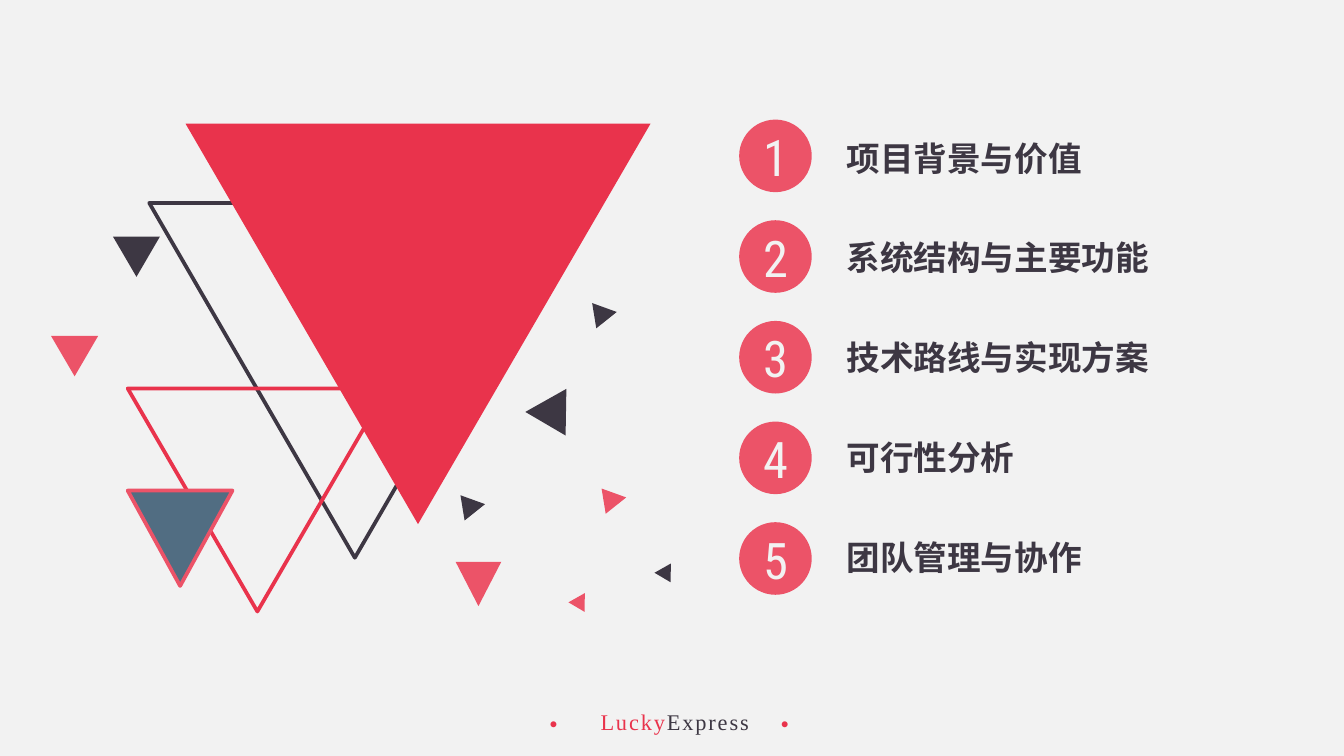
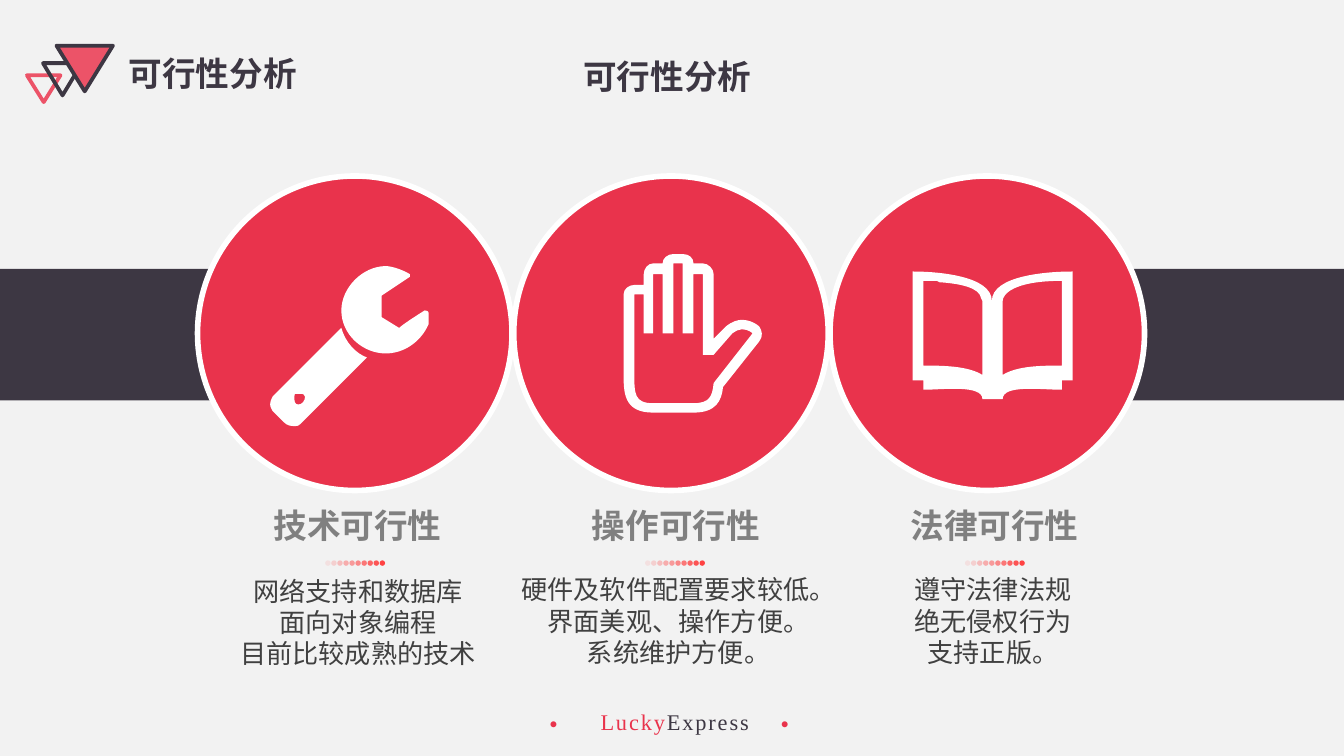
from dataclasses import dataclass
from typing import NamedTuple

from lxml import etree
from pptx import Presentation
from pptx import util as u
from pptx.dml.color import RGBColor
from pptx.enum import shapes, text
from pptx.oxml.ns import qn

SLIDE_WIDTH = u.Inches(10)
SLIDE_HEIGHT = u.Inches(5.625)
COLUMNS = 100
CELL = SLIDE_WIDTH / COLUMNS
ICON_UNIT = CELL / 10

COLORS = {
    "paper": "F2F2F2",
    "red": "E9334C",
    "rose": "EC5368",
    "dark": "3D3743",
    "steel": "516D82",
    "white": "FFFFFF",
    "dot": "FF4343",
    "heading": "808080",
    "body": "404040",
}
CJK = "Noto Sans CJK SC"
CENTER = text.PP_ALIGN.CENTER
LEFT = text.PP_ALIGN.LEFT
TRIANGLE = shapes.MSO_SHAPE.ISOSCELES_TRIANGLE
OVAL = shapes.MSO_SHAPE.OVAL
RECTANGLE = shapes.MSO_SHAPE.RECTANGLE


class Box(NamedTuple):
    column: float
    row: float
    columns: float
    rows: float

    def emu(self) -> list[int]:
        return [round(length * CELL) for length in self]


@dataclass(frozen=True)
class Style:
    size: float
    color: str
    font: str = CJK
    bold: bool = False
    align: text.PP_ALIGN = LEFT
    line_points: float | None = None
    spacing: int = 0


@dataclass(frozen=True)
class Triangle:
    box: Box
    fill: str | None = None
    line: str | None = None
    rotation: float = 180


@dataclass(frozen=True)
class Icon:
    column: float
    row: float
    contours: tuple[str, ...]


@dataclass(frozen=True)
class Feasibility:
    heading: str
    body: str
    body_box: Box
    icon: Icon


TITLE = Style(18, "dark", bold=True, line_points=22)
CENTERED_TITLE = Style(18, "dark", bold=True, align=CENTER, line_points=22)
HEADING = Style(18, "heading", bold=True, align=CENTER, line_points=22)
BODY = Style(14, "body", align=CENTER, line_points=16.8)
NUMBER = Style(27, "paper", font="Roboto Condensed", align=CENTER)
BULLET = Style(9, "red", font="Calibri")
BRAND_FIRST = Style(12, "red", font="Times New Roman", spacing=100)
BRAND_LAST = Style(12, "dark", font="Times New Roman", spacing=100)

AGENDA = ["项目背景与价值", "系统结构与主要功能", "技术路线与实现方案", "可行性分析", "团队管理与协作"]

AGENDA_TRIANGLES = [
    Triangle(Box(11.1, 15.1, 30.6, 26.4), line="dark"),
    Triangle(Box(8.4, 17.6, 3.5, 3), "dark"),
    Triangle(Box(9.5, 28.9, 19.3, 16.6), line="red"),
    Triangle(Box(33.9, 41.8, 3.4, 3.3), "rose"),
    Triangle(Box(3.8, 25, 3.5, 3), "rose"),
    Triangle(Box(9.5, 36.5, 7.8, 7.1), "steel", "rose"),
    Triangle(Box(39.6, 29.6, 3.5, 3), "dark", rotation=150.7),
    Triangle(Box(42.5, 44.4, 1.4, 1.2), "rose", rotation=150.7),
    Triangle(Box(48.9, 42.2, 1.4, 1.2), "dark", rotation=150.7),
    Triangle(Box(44.8, 36.3, 1.9, 1.7), "rose", rotation=80.6),
    Triangle(Box(44.1, 22.5, 1.9, 1.7), "dark", rotation=80.6),
    Triangle(Box(34.3, 36.8, 1.9, 1.7), "dark", rotation=80.6),
    Triangle(Box(13.8, 9.2, 34.6, 29.8), "red"),
]

HEADER_TRIANGLES = [
    Triangle(Box(2, 5.6, 2.5, 2), line="rose"),
    Triangle(Box(3.2, 4.7, 2.9, 2.4), line="dark"),
    Triangle(Box(4.2, 3.4, 4.2, 3.4), "rose", "dark"),
]

WRENCH = Icon(20.1, 19.8, (
    "24,116|21,119 21,119 18,119|16,119 13,119 10,116|2,108|2,108 0,105 0,103|0,100 2,97 2,97"
    "|53,46|56,57 64,65 72,68",
    "21,95|18,95 18,95 18,97|18,100 18,103 21,103|24,103 26,100 26,97|26,95 24,95 21,95",
    "118,43|112,57 99,65 86,65|69,65 53,51 53,33|53,16 69,0 86,0|91,0 99,3 104,6"
    "|104,6 104,6 104,8|83,22|83,38|96,46|99,43 115,33 115,33|118,33 118,35 118,35",
))
HAND = Icon(46.4, 18.9, (
    "0,30|0,89|0,103 0,118 22,118|52,118|69,118 73,109 74,99|101,65|104,61 103,57 101,54"
    "|100,53 95,49 88,49|85,49 81,50 76,54|67,63|67,15|67,11 63,7 59,7|52,7|52,3 49,0 44,0"
    "|37,0|33,0 29,3 29,7|22,7|18,7 15,11 15,15|15,23|8,23|4,23 0,26 0,30",
    "8,30|15,30|15,59|22,59|22,15|29,15|29,59|37,59|37,7|44,7|44,59|52,59|52,15|59,15"
    "|59,75|67,75|67,75 74,67 81,59|84,57 86,56 88,56|93,56 96,59 96,59|67,96"
    "|66,106 64,111 52,111|22,111|8,111 8,104 8,89",
))
BOOK = Icon(67.9, 20.2, (
    "59,22|59,3 18,0 0,0|0,81|8,81|8,88|22,88 52,84 52,95|67,95|67,84 96,88 111,88"
    "|111,81|119,81|119,0|100,0 59,3 59,22",
    "52,77|41,70 21,70 8,70|8,7|18,7|20,8|35,9 50,12 51,20|52,22",
    "111,70|97,70 78,70 67,77|67,22|67,17 75,7 111,7",
))

FEASIBILITIES = [
    Feasibility("技术可行性", "网络支持和数据库\n面向对象编程\n目前比较成熟的技术",
                Box(16.4, 42.3, 20.5, 8.1), WRENCH),
    Feasibility("操作可行性", "硬件及软件配置要求较低。\n界面美观、操作方便。\n系统维护方便。",
                Box(37.6, 42.2, 25.8, 8.1), HAND),
    Feasibility("法律可行性", "遵守法律法规\n绝无侵权行为\n支持正版。",
                Box(62.1, 42.2, 23.6, 8.1), BOOK),
]


def paint(shape, fill: str | None, line: str | None = None, width: float = 2) -> None:
    shape.shadow.inherit = False
    if fill:
        shape.fill.solid()
        shape.fill.fore_color.rgb = RGBColor.from_string(COLORS[fill])
    else:
        shape.fill.background()
    if line:
        shape.line.color.rgb = RGBColor.from_string(COLORS[line])
        shape.line.width = u.Pt(width)
        etree.SubElement(shape.element.spPr.find(qn("a:ln")), qn("a:round"))
    else:
        shape.line.fill.background()


def add_shape(canvas, kind, box: Box, fill: str | None, line: str | None = None, width: float = 2):
    shape = canvas.shapes.add_shape(kind, *box.emu())
    paint(shape, fill, line, width)
    return shape


def add_triangles(slide, triangles: list[Triangle]) -> None:
    for triangle in triangles:
        shape = add_shape(slide, TRIANGLE, triangle.box, triangle.fill, triangle.line)
        shape.rotation = triangle.rotation


def format_run(run, style: Style) -> None:
    run.font.size = u.Pt(style.size)
    run.font.bold = style.bold
    run.font.color.rgb = RGBColor.from_string(COLORS[style.color])
    run.font.name = style.font
    properties = run._r.get_or_add_rPr()
    etree.SubElement(properties, qn("a:ea")).set("typeface", style.font)
    if style.spacing:
        properties.set("spc", str(style.spacing))


def add_text(canvas, box: Box, content: str, style: Style, wrap: bool = True, grow: bool = True):
    shape = canvas.shapes.add_textbox(*box.emu())
    frame = shape.text_frame
    frame.text = content
    frame.word_wrap = wrap
    if grow:
        frame.auto_size = text.MSO_AUTO_SIZE.SHAPE_TO_FIT_TEXT
    for paragraph in frame.paragraphs:
        paragraph.alignment = style.align
        if style.line_points:
            paragraph.line_spacing = u.Pt(style.line_points)
        for run in paragraph.runs:
            format_run(run, style)
    return shape


def bend(lines: list) -> None:
    curve = etree.Element(qn("a:cubicBezTo"))
    lines[0].addprevious(curve)
    for line in lines:
        curve.append(line[0])
        line.getparent().remove(line)


def add_icon(slide, icon: Icon) -> None:
    builder = None
    segment_sizes: list[int] = []
    for contour in icon.contours:
        segments = [
            [(round(icon.column * CELL + float(x) * ICON_UNIT),
              round(icon.row * CELL + float(y) * ICON_UNIT))
             for x, y in (pair.split(",") for pair in segment.split())]
            for segment in contour.split("|")
        ]
        start = segments[0][0]
        if builder is None:
            builder = slide.shapes.build_freeform(*start)
        else:
            builder.move_to(*start)
        builder.add_line_segments([point for segment in segments[1:] for point in segment])
        segment_sizes += [len(segment) for segment in segments[1:]]
    shape = builder.convert_to_shape()
    lines = iter(list(shape.element.iter(qn("a:lnTo"))))
    for size in segment_sizes:
        group = [next(lines) for _ in range(size)]
        if size == 3:
            bend(group)
    paint(shape, "white")


def add_dots(slide, column: float, row: float) -> None:
    group = slide.shapes.add_group_shape()
    for index in range(10):
        dot = add_shape(group, OVAL, Box(column + 0.45 * index, row, 0.4, 0.4), "dot")
        if index < 9:
            color = dot.element.spPr.find(qn("a:solidFill")).find(qn("a:srgbClr"))
            etree.SubElement(color, qn("a:alpha")).set("val", str((index + 1) * 10000))


def move_footer_to_master(slide, master) -> None:
    footer = [
        add_text(slide, Box(column, 52.5, 2.7, 2.5), "•", BULLET, wrap=False)
        for column in (39.9, 57.1)
    ]
    brand = add_text(slide, Box(43.7, 52.2, 13.3, 3), "Lucky", BRAND_FIRST, wrap=False)
    run = brand.text_frame.paragraphs[0].add_run()
    run.text = "Express"
    format_run(run, BRAND_LAST)
    for shape in [*footer, brand]:
        master.shapes.element.append(shape.element)


def build_agenda(slide) -> None:
    add_triangles(slide, AGENDA_TRIANGLES)
    for index, topic in enumerate(AGENDA):
        add_text(slide, Box(62, 9.7 + 7.42 * index, 28.1, 4), topic, TITLE)
        row = 8.9 + 7.49 * index
        badge = slide.shapes.add_group_shape()
        add_shape(badge, OVAL, Box(55, row, 5.4, 5.4), "rose")
        add_text(badge, Box(55.7, row, 4, 5.6), str(index + 1), NUMBER, wrap=False)


def build_feasibility(slide) -> None:
    add_text(slide, Box(14.6, 3.6, 70.1, 4.9), AGENDA[3], CENTERED_TITLE, grow=False)
    add_triangles(slide, HEADER_TRIANGLES)
    add_text(slide, Box(8.6, 3.4, 14.6, 7.1), AGENDA[3], TITLE, wrap=False)
    for column in (COLUMNS - 25.7, 0):
        add_shape(slide, RECTANGLE, Box(column, 20, 25.7, 9.8), "dark")
    for index, item in enumerate(FEASIBILITIES):
        circle = Box(14.7 + 23.53 * index, 13.1, 23.4, 23.4)
        add_shape(slide, OVAL, circle, "red", "white", 3)
        add_icon(slide, item.icon)
        add_text(slide, item.body_box, item.body, BODY)
        add_dots(slide, 24.2 + 23.8 * index, 41.7)
        add_text(slide, Box(19.3 + 23.7 * index, 37, 14.6, 4), item.heading, HEADING, wrap=False)


def main() -> None:
    presentation = Presentation()
    presentation.slide_width = SLIDE_WIDTH
    presentation.slide_height = SLIDE_HEIGHT
    master = presentation.slide_master
    background = master.background.fill
    background.solid()
    background.fore_color.rgb = RGBColor.from_string(COLORS["paper"])
    blank = presentation.slide_layouts[6]
    agenda, feasibility = [presentation.slides.add_slide(blank) for _ in range(2)]
    move_footer_to_master(agenda, master)
    build_agenda(agenda)
    build_feasibility(feasibility)
    presentation.save("out.pptx")


if __name__ == "__main__":
    main()
